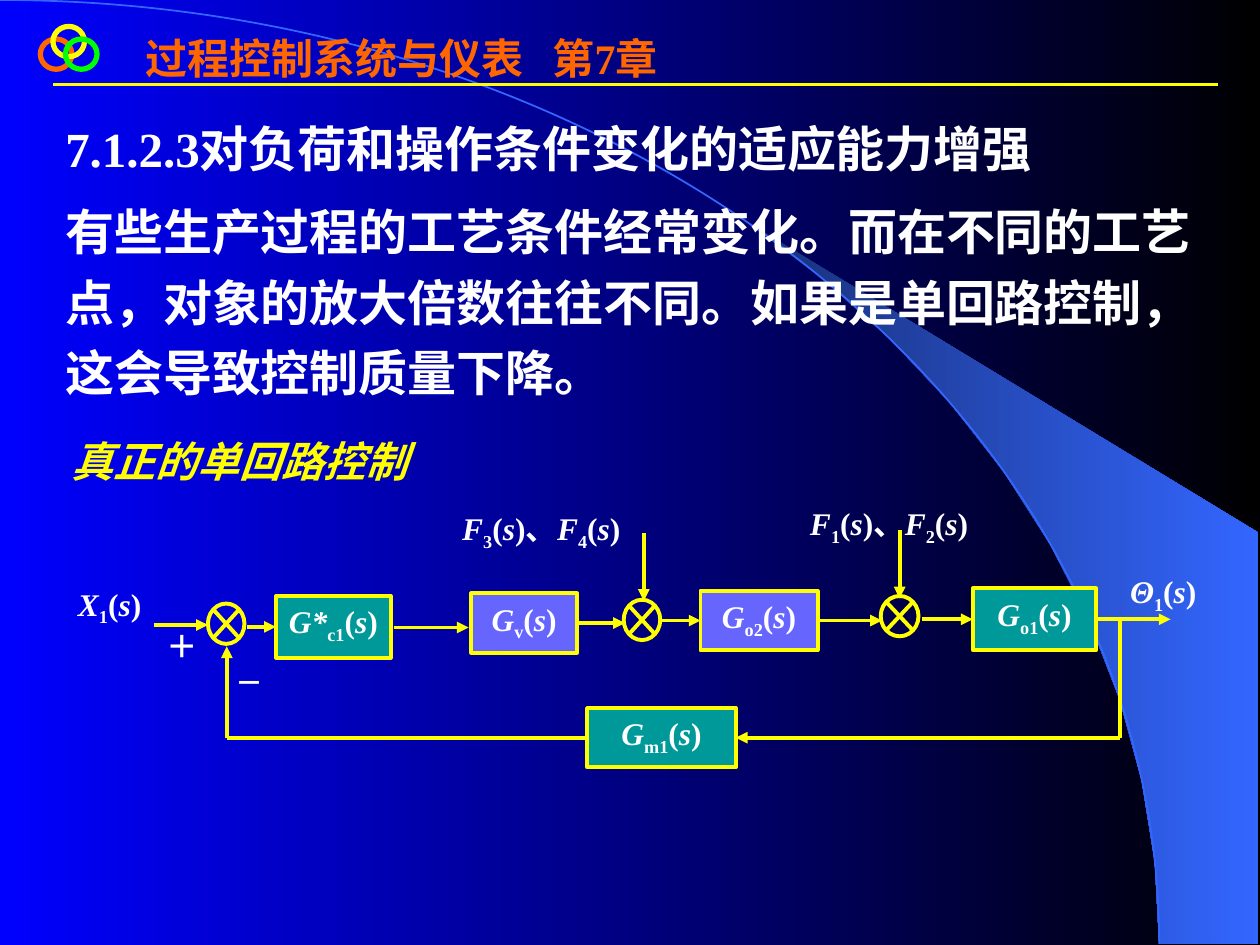
import math
from dataclasses import dataclass
from typing import NamedTuple, Optional, Union

import lxml.etree
import pptx
import pptx.dml.color
import pptx.enum.shapes
import pptx.enum.text
import pptx.oxml.ns
import pptx.util

COLUMNS, ROWS = 100, 75
SLIDE_WIDTH, SLIDE_HEIGHT = pptx.util.Inches(10), pptx.util.Inches(7.5)
TOP, LEFT, BOTTOM, RIGHT = range(4)
SHAPES = pptx.enum.shapes.MSO_SHAPE
ALIGN = pptx.enum.text.PP_ALIGN


@dataclass(frozen=True)
class Theme:
    font: str = "Times New Roman"
    white: str = "FFFFFF"
    yellow: str = "FFFF00"
    orange: str = "FF6600"
    green: str = "00FF00"
    teal: str = "009999"
    violet: str = "6666FF"
    sky: str = "3366FF"
    band_dark: str = "182F76"
    background: tuple[str, str] = ("0000FF", "000000")
    body_size: float = 28
    heading_size: float = 24
    formula_size: float = 18
    sign_size: float = 16
    wire_width: float = 2.25
    ring_width: float = 3
    rule_width: float = 1.5
    arc_width: float = 1


THEME = Theme()


class Point(NamedTuple):
    column: float
    row: float


class Box(NamedTuple):
    column: float
    row: float
    columns: float
    rows: float


class Factor(NamedTuple):
    symbol: str
    subscript: str


class Block(NamedTuple):
    factor: Factor
    box: Box
    color: str


class Label(NamedTuple):
    factors: list[Factor]
    box: Box


class Port(NamedTuple):
    block: str
    side: int


class Wire(NamedTuple):
    start: Union[Point, Port]
    end: Union[Point, Port]
    arrow: bool = True


BLOCKS = {
    "controller": Block(Factor("G*", "c1"), Box(21.9, 47.3, 9.1, 4.9), THEME.teal),
    "valve": Block(Factor("G", "v"), Box(37.4, 47.1, 8.4, 4.7), THEME.violet),
    "inner": Block(Factor("G", "o2"), Box(55.6, 46.9, 9.3, 4.7), THEME.violet),
    "outer": Block(Factor("G", "o1"), Box(77.2, 46.7, 9.8, 4.9), THEME.teal),
    "sensor": Block(Factor("G", "m1"), Box(46.6, 56.2, 11.8, 4.7), THEME.teal),
}
MIDDLE = {name: block.box.row + block.box.rows / 2 for name, block in BLOCKS.items()}
JUNCTIONS = [Box(16.5, 47.9, 2.9, 3.2), Box(49.5, 47.6, 2.9, 3.2), Box(69.9, 47.3, 3, 3.2)]
LABELS = [
    Label([Factor("X", "1")], Box(5.2, 45.9, 7.4, 5.6)),
    Label([Factor("Θ", "1")], Box(88.7, 44.9, 7.9, 5.6)),
    Label([Factor("F", "3"), Factor("F", "4")], Box(35.7, 39.9, 17.7, 4.2)),
    Label([Factor("F", "1"), Factor("F", "2")], Box(63.3, 39.5, 17.2, 4.2)),
]
FEEDBACK_RIGHT = Point(88.9, MIDDLE["sensor"])
FEEDBACK_LEFT = Point(18, MIDDLE["sensor"])
WIRES = [
    Wire(Point(12.2, 49.6), Point(16.5, 49.6)),
    Wire(Point(19.6, MIDDLE["controller"]), Port("controller", LEFT)),
    Wire(Point(31.3, 49.8), Point(37.2, 49.8)),
    Wire(Port("valve", RIGHT), Point(49.6, MIDDLE["valve"])),
    Wire(Point(52.5, MIDDLE["inner"]), Port("inner", LEFT)),
    Wire(Port("inner", RIGHT), Point(70, MIDDLE["inner"])),
    Wire(Point(73.2, MIDDLE["outer"]), Port("outer", LEFT)),
    Wire(Port("outer", RIGHT), Point(92.9, MIDDLE["outer"])),
    Wire(Point(51.1, 42.3), Point(51.1, 47.7)),
    Wire(Point(71.4, 42.1), Point(71.4, 47.5)),
    Wire(Point(88.9, 49.3), FEEDBACK_RIGHT, arrow=False),
    Wire(FEEDBACK_RIGHT, Port("sensor", RIGHT)),
    Wire(Port("sensor", LEFT), FEEDBACK_LEFT, arrow=False),
    Wire(FEEDBACK_LEFT, Point(18, 51.3)),
]
RINGS = [
    (Point(3.2, 3.1), THEME.orange),
    (Point(4.2, 2.1), THEME.yellow),
    (Point(5.2, 3.1), THEME.green),
]
ARC_END = Point(92, 74.9)
ARC_CONTROLS = [Point(50.8, 0), Point(92, 33.5)]
BODY = [
    "7.1.2.3对负荷和操作条件变化的适应能力增强",
    "有些生产过程的工艺条件经常变化。而在不同的工艺点，对象的放大倍数往往不同。"
    "如果是单回路控制，这会导致控制质量下降。",
]


def place(column: float, row: float) -> tuple[int, int]:
    return round(SLIDE_WIDTH * column / COLUMNS), round(SLIDE_HEIGHT * row / ROWS)


def frame(box: Box) -> tuple[int, int, int, int]:
    return place(box.column, box.row) + place(box.columns, box.rows)


def rgb(color: str) -> pptx.dml.color.RGBColor:
    return pptx.dml.color.RGBColor.from_string(color)


def style_line(line, color: str, width: float) -> None:
    line.color.rgb = rgb(color)
    line.width = pptx.util.Pt(width)


def style_font(font, size: float, color: str, italic: bool = False) -> None:
    font.name, font.size = THEME.font, pptx.util.Pt(size)
    font.bold, font.italic = True, italic
    font.color.rgb = rgb(color)


def fill_gradient(fill, colors: tuple[str, str]) -> None:
    fill.gradient()
    fill.gradient_angle = 0
    for stop, color in zip(fill.gradient_stops, colors):
        stop.color.rgb = rgb(color)


def add_freeform(slide, points: list[Point], close: bool):
    places = [place(*point) for point in points]
    builder = slide.shapes.build_freeform(*places[0])
    builder.add_line_segments(places[1:], close=close)
    shape = builder.convert_to_shape()
    shape.shadow.inherit = False
    return shape


def bend_segment(shape, controls: list[Point]) -> None:
    segment = next(shape._element.iter(pptx.oxml.ns.qn("a:lnTo")))
    segment.tag = pptx.oxml.ns.qn("a:cubicBezTo")
    for index, control in enumerate(controls):
        x, y = place(*control)
        point = segment.makeelement(pptx.oxml.ns.qn("a:pt"), {"x": str(x), "y": str(y)})
        segment.insert(index, point)


def add_shape(slide, kind, box: Box, line: str, width: float, fill: Optional[str] = None):
    shape = slide.shapes.add_shape(kind, *frame(box))
    shape.shadow.inherit = False
    if fill:
        shape.fill.solid()
        shape.fill.fore_color.rgb = rgb(fill)
    else:
        shape.fill.background()
    style_line(shape.line, line, width)
    return shape


def add_text(slide, box: Box, lines: list[str], size: float, color: str,
             italic: bool = False, wrap: bool = True):
    text_frame = slide.shapes.add_textbox(*frame(box)).text_frame
    text_frame.word_wrap = wrap
    text_frame.text = "\n".join(lines)
    for paragraph in text_frame.paragraphs:
        for run in paragraph.runs:
            style_font(run.font, size, color, italic)
    return text_frame


def write_formula(paragraph, factors: list[Factor]) -> None:
    for index, factor in enumerate(factors):
        closing = ")、" if index < len(factors) - 1 else ")"
        for text in (factor.symbol, factor.subscript, "(", "s", closing):
            run = paragraph.add_run()
            run.text = text
            style_font(run.font, THEME.formula_size, THEME.white, text in (factor.symbol, "s"))
            if text == factor.subscript:
                run.font._element.set("baseline", "-25000")


def add_connector(slide, start: Point, end: Point, width: float, arrow: bool):
    connector = slide.shapes.add_connector(
        pptx.enum.shapes.MSO_CONNECTOR.STRAIGHT, *place(*start), *place(*end))
    style_line(connector.line, THEME.yellow, width)
    properties = connector._element.spPr
    if arrow:
        outline = properties.find(pptx.oxml.ns.qn("a:ln"))
        lxml.etree.SubElement(outline, pptx.oxml.ns.qn("a:tailEnd"), type="triangle")
    lxml.etree.SubElement(properties, pptx.oxml.ns.qn("a:effectLst"))
    return connector


def add_wire(slide, wire: Wire, shapes: dict) -> None:
    start, end = (Point(0, 0) if isinstance(tip, Port) else tip for tip in wire[:2])
    connector = add_connector(slide, start, end, THEME.wire_width, wire.arrow)
    if isinstance(wire.start, Port):
        connector.begin_connect(shapes[wire.start.block], wire.start.side)
    if isinstance(wire.end, Port):
        connector.end_connect(shapes[wire.end.block], wire.end.side)


def draw_backdrop(slide) -> None:
    fill_gradient(slide.background.fill, THEME.background)
    angles = [math.radians(degree) for degree in range(40, 91, 5)]
    edge = [Point(ARC_END.column * math.sin(angle), ARC_END.row * (1 - math.cos(angle)))
            for angle in angles]
    band = add_freeform(slide, edge + [Point(99.9, 74.9), Point(99.9, 42.3)], close=True)
    fill_gradient(band.fill, (THEME.band_dark, THEME.sky))
    band.line.fill.background()
    arc = add_freeform(slide, [Point(0, 0), ARC_END], close=False)
    bend_segment(arc, ARC_CONTROLS)
    arc.fill.background()
    style_line(arc.line, THEME.sky, THEME.arc_width)


def draw_text(slide) -> None:
    add_connector(slide, Point(4.2, 6.7), Point(96.7, 6.7), THEME.rule_width, False)
    add_text(slide, Box(10.6, 2.1, 44.9, 9), ["过程控制系统与仪表   第7章"],
             THEME.heading_size, THEME.orange)
    for corner, color in RINGS:
        add_shape(slide, SHAPES.OVAL, Box(*corner, 2.5, 2.4), color, THEME.ring_width)
    body = add_text(slide, Box(4.2, 8, 93, 24.4), BODY, THEME.body_size, THEME.white)
    for index, paragraph in enumerate(body.paragraphs):
        paragraph.line_spacing = 1.2
        paragraph.space_before = pptx.util.Pt(7 if index else 0)
    add_text(slide, Box(4.7, 34.1, 31.3, 5), ["真正的单回路控制"],
             THEME.heading_size, THEME.yellow, italic=True)


def draw_diagram(slide) -> None:
    shapes = {}
    for name, block in BLOCKS.items():
        shape = add_shape(slide, SHAPES.RECTANGLE, block.box, THEME.yellow,
                          THEME.wire_width, block.color)
        shape.text_frame.vertical_anchor = pptx.enum.text.MSO_ANCHOR.TOP
        paragraph = shape.text_frame.paragraphs[0]
        paragraph.alignment = ALIGN.CENTER
        write_formula(paragraph, [block.factor])
        shapes[name] = shape
    for box in JUNCTIONS:
        add_shape(slide, SHAPES.FLOWCHART_SUMMING_JUNCTION, box, THEME.yellow, THEME.wire_width)
    for label in LABELS:
        text_frame = add_text(slide, label.box, [], THEME.formula_size, THEME.white)
        write_formula(text_frame.paragraphs[0], label.factors)
    add_text(slide, Box(12.2, 49.3, 5.5, 6.3), ["＋"], THEME.formula_size, THEME.white)
    add_text(slide, Box(17.7, 52.3, 4.2, 3.7), ["－"], THEME.sign_size, THEME.white, wrap=False)
    for wire in WIRES:
        add_wire(slide, wire, shapes)


def main() -> None:
    presentation = pptx.Presentation()
    presentation.slide_width, presentation.slide_height = SLIDE_WIDTH, SLIDE_HEIGHT
    slide = presentation.slides.add_slide(presentation.slide_layouts[6])
    draw_backdrop(slide)
    draw_text(slide)
    draw_diagram(slide)
    presentation.save("out.pptx")


if __name__ == "__main__":
    main()
